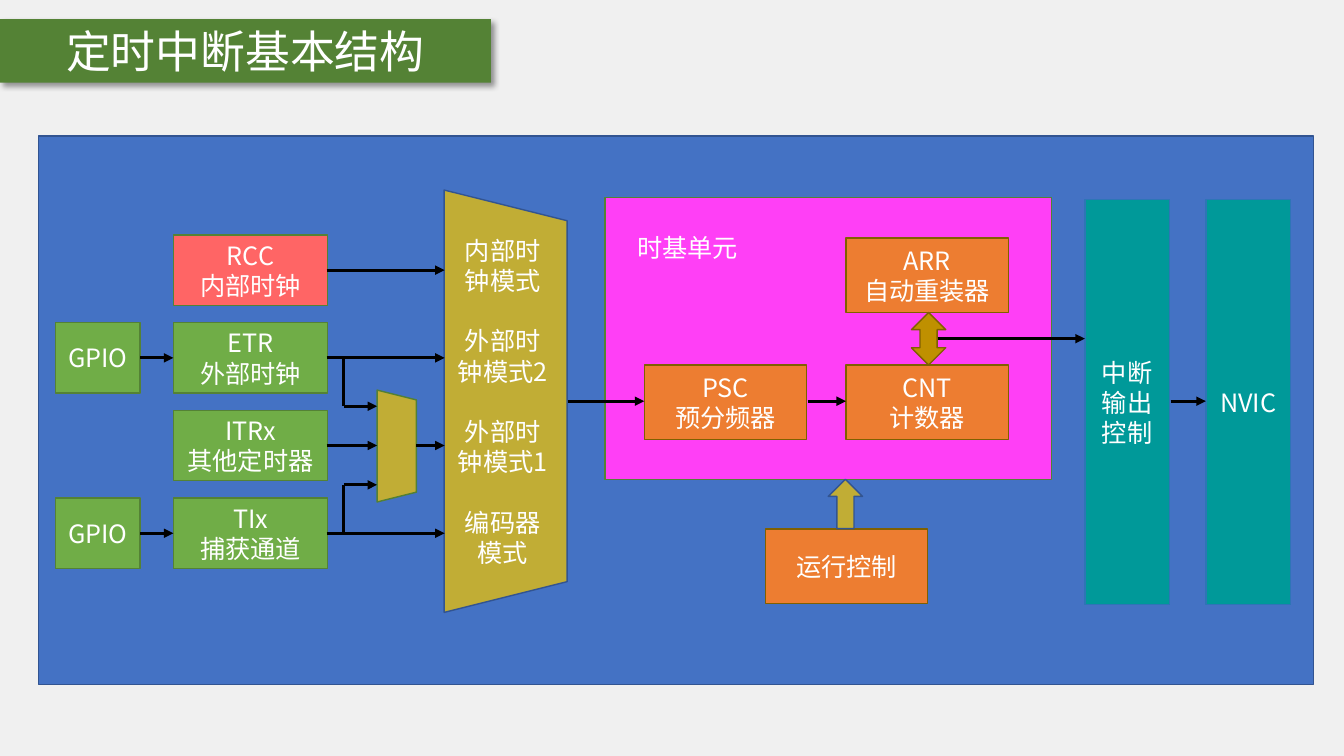
from lxml import etree
from pptx import Presentation
from pptx.dml.color import RGBColor
from pptx.enum.shapes import MSO_CONNECTOR, MSO_SHAPE
from pptx.enum.text import MSO_ANCHOR, PP_ALIGN
from pptx.oxml.ns import qn
from pptx.util import Inches, Pt

RECT, TRAPEZOID = MSO_SHAPE.RECTANGLE, MSO_SHAPE.TRAPEZOID
UP_DOWN, RIGHT_ARROW = MSO_SHAPE.UP_DOWN_ARROW, MSO_SHAPE.RIGHT_ARROW
STRAIGHT = MSO_CONNECTOR.STRAIGHT
MIDDLE, TOP = MSO_ANCHOR.MIDDLE, MSO_ANCHOR.TOP
CENTER, LEFT = PP_ALIGN.CENTER, PP_ALIGN.LEFT

# The grid: one column or row is one inch
COLUMNS, ROWS = 13.33, 7.5
CELL = Inches(1)


def color(value):
    return RGBColor.from_string(value)


def cells(*lengths):
    return [round(length * CELL) for length in lengths]


class Diagram:
    font_name = "Noto Sans CJK SC"
    text_color = "FFFFFF"
    wire_color = "000000"

    def __init__(self, deck, background):
        self.slide = deck.slides.add_slide(deck.slide_layouts[6])
        self.slide.background.fill.solid()
        self.slide.background.fill.fore_color.rgb = color(background)

    def block(self, at, fill, border=None, kind=RECT, rotation=0):
        shape = self.slide.shapes.add_shape(kind, *cells(*at))
        shape.shadow.inherit = False
        shape.rotation = rotation
        shape.fill.solid()
        shape.fill.fore_color.rgb = color(fill)
        if border:
            shape.line.color.rgb = color(border)
            shape.line.width = Pt(1)
        else:
            shape.line.fill.background()
        return shape

    def label(self, shape, lines, size=18, align=CENTER, gaps=(), **frame_format):
        frame = shape.text_frame
        settings = {"word_wrap": True, "vertical_anchor": MIDDLE, **frame_format}
        for name, value in settings.items():
            setattr(frame, name, value)
        for index, line in enumerate(lines):
            paragraph = frame.paragraphs[0] if index == 0 else frame.add_paragraph()
            paragraph.alignment = align
            if index in gaps:
                paragraph.space_before = Pt(21.6)
            run = paragraph.add_run()
            run.text = line
            for name, value in {"name": self.font_name, "size": Pt(size)}.items():
                setattr(run.font, name, value)
            run.font.color.rgb = color(self.text_color)
            east_asian = etree.SubElement(run.font._element, qn("a:ea"))
            east_asian.set("typeface", self.font_name)

    def box(self, at, lines, fill, border):
        self.label(self.block(at, fill, border), lines)

    def wire(self, start, end, arrow=True):
        line = self.slide.shapes.add_connector(STRAIGHT, *cells(*start, *end))
        line.line.color.rgb = color(self.wire_color)
        line.line.width = Pt(2.25)
        if arrow:
            etree.SubElement(line.line._get_or_add_ln(), qn("a:tailEnd"), type="triangle")
        etree.SubElement(line._element.spPr, qn("a:effectLst"))

    def drop_shadow(self, shape):
        effects = shape._element.spPr.find(qn("a:effectLst"))
        shadow = etree.SubElement(
            effects, qn("a:outerShdw"), blurRad=str(Pt(4)), dist=str(Pt(3)),
            dir=str(45 * 60000), algn="tl", rotWithShape="0")
        black = etree.SubElement(shadow, qn("a:srgbClr"), val="000000")
        etree.SubElement(black, qn("a:alpha"), val="40000")


def main():
    deck = Presentation()
    deck.slide_width, deck.slide_height = cells(COLUMNS, ROWS)
    diagram = Diagram(deck, "F0F0F0")

    # Panel, time base unit and title
    diagram.block((0.38, 1.35, 12.65, 5.44), "4472C4", "325491")
    time_base = diagram.block((6, 1.96, 4.43, 2.8), "FF3FF6", "548235")
    diagram.label(time_base, ["时基单元"], align=LEFT, vertical_anchor=TOP,
                  margin_left=Inches(0.32), margin_top=Inches(0.34))
    title = diagram.block((0, 0.19, 4.87, 0.63), "548235")
    diagram.drop_shadow(title)
    diagram.label(title, ["定时中断基本结构"], size=32)

    # Clock sources, one to a row
    source_height, mux_top_gap = 0.7, 0.39
    source_rows = [2.68 + 0.87 * row for row in range(4)]
    internal, external, other_timer, capture = source_rows
    sources = [("RCC", "内部时钟", "FF6565"), ("ETR", "外部时钟", "70AD47"),
               ("ITRx", "其他定时器", "70AD47"), ("TIx", "捕获通道", "70AD47")]
    for middle, (name, meaning, fill) in zip(source_rows, sources):
        top = middle - source_height / 2
        diagram.box((1.72, top, 1.53, source_height), [name, meaning], fill, "548235")
    for middle in (external, capture):
        top = middle - source_height / 2
        diagram.box((0.55, top, 0.84, source_height), ["GPIO"], "70AD47", "548235")
        diagram.wire((1.39, middle), (1.72, middle))

    # Multiplexers
    diagram.block((3.38, 4.23, 1.11, 0.39), "C1AD35", "538035", TRAPEZOID, 90)
    mode_mux = diagram.block((2.92, 3.37, 4.19, 1.22), "C1AD35", "325491", TRAPEZOID, 90)
    modes = ["内部时", "钟模式", "外部时", "钟模式2", "外部时", "钟模式1", "编码器", "模式"]
    diagram.label(mode_mux, modes, gaps=(2, 4, 6))
    mode_mux.text_frame._txBody.bodyPr.set("vert", "vert270")

    # Wires from the sources to the multiplexers
    for middle in (internal, external, capture):
        diagram.wire((3.24, middle), (4.41, middle))
    diagram.wire((3.24, other_timer), (3.74, other_timer))
    diagram.wire((4.13, other_timer), (4.41, other_timer))
    for middle, offset in ((external, -mux_top_gap), (capture, mux_top_gap)):
        branch = other_timer + offset
        diagram.wire((3.41, middle), (3.41, branch), arrow=False)
        diagram.wire((3.41, branch), (3.74, branch))

    # Registers and run control
    registers = [(8.39, 2.36, ["ARR", "自动重装器"]), (6.39, 3.62, ["PSC", "预分频器"]),
                 (8.39, 3.62, ["CNT", "计数器"]), (7.59, 5.25, ["运行控制"])]
    for left, top, lines in registers:
        diagram.box((left, top, 1.61, 0.74), lines, "ED7D31", "806000")
    diagram.block((9.04, 3.1, 0.34, 0.52), "BF9000", "806000", UP_DOWN)
    diagram.block((8.14, 4.83, 0.49, 0.34), "C1AD35", "325491", RIGHT_ARROW, 270)

    # Interrupt output
    for left, lines in ((10.76, ["中断", "输出", "控制"]), (11.96, ["NVIC"])):
        diagram.box((left, 1.98, 0.84, 4.02), lines, "009999", "2E75B6")

    # Wires from the counter chain to the interrupt
    chain = 3.98
    for start, end in ((5.63, 6.39), (8.01, 8.39), (11.61, 11.96)):
        diagram.wire((start, chain), (end, chain))
    diagram.wire((9.3, 3.36), (10.76, 3.36))

    deck.save("out.pptx")


if __name__ == "__main__":
    main()
